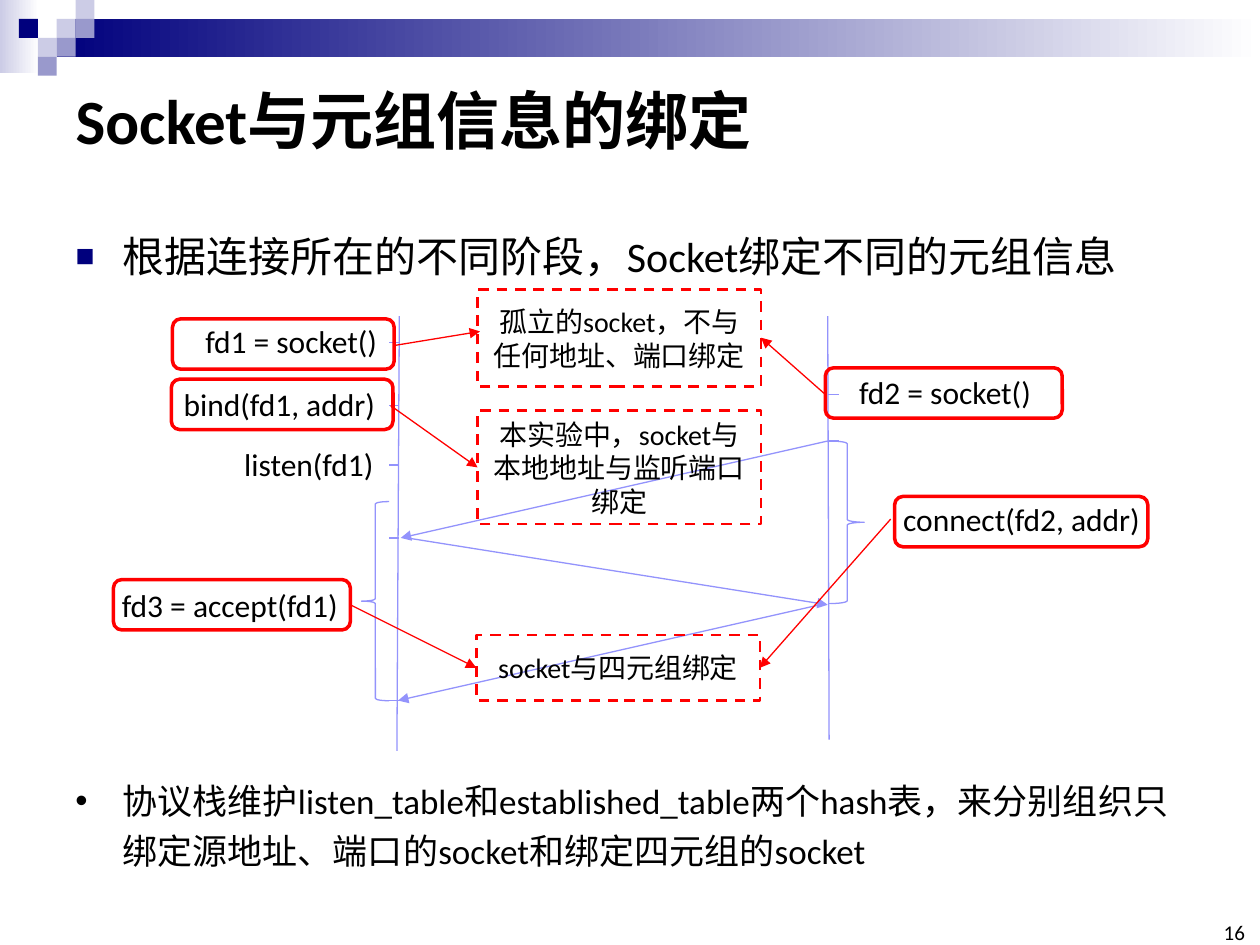
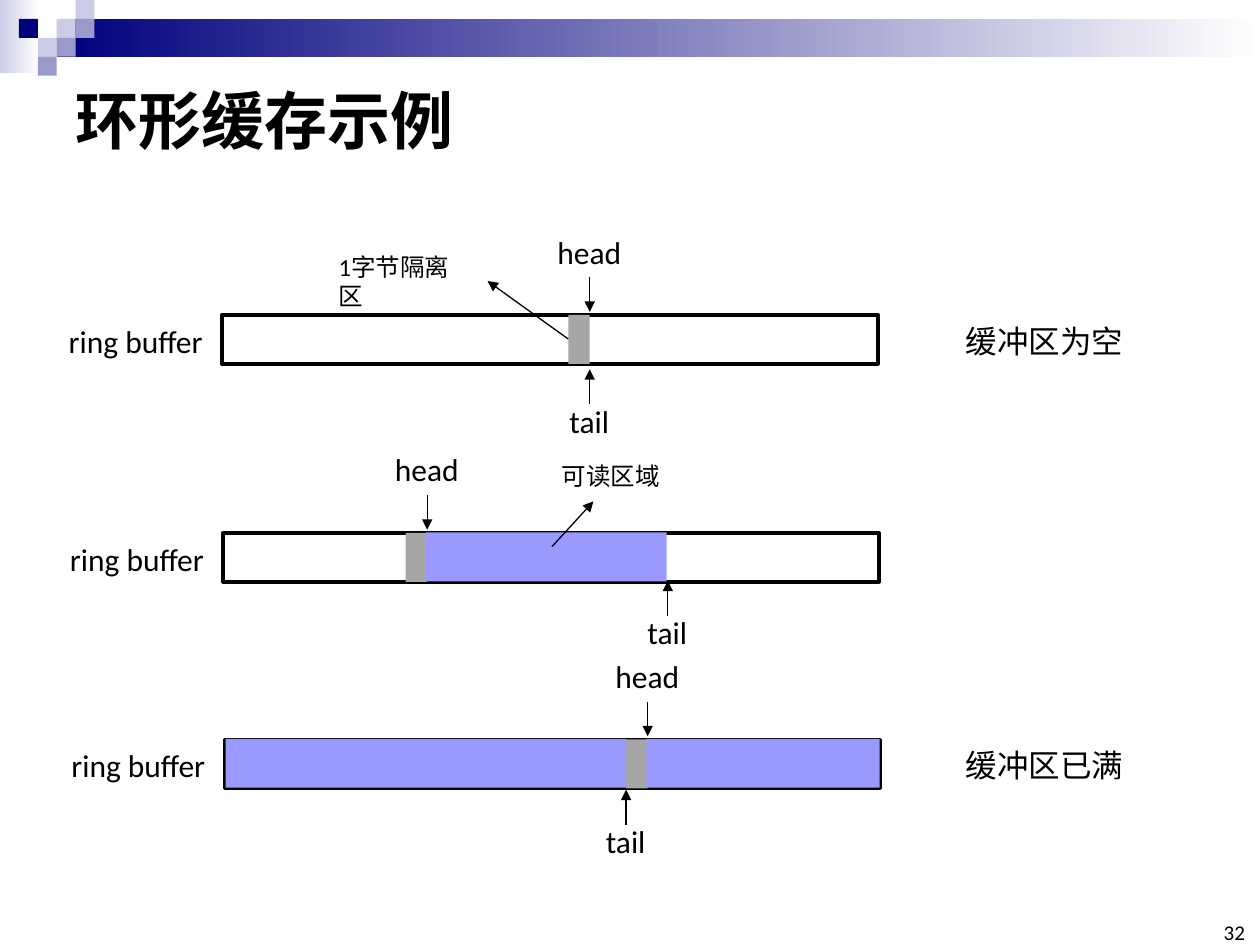
from lxml.etree import SubElement
from pptx import Presentation
from pptx.dml.color import RGBColor
from pptx.enum.dml import MSO_LINE
from pptx.enum.shapes import MSO_CONNECTOR, MSO_SHAPE
from pptx.enum.text import MSO_ANCHOR, MSO_AUTO_SIZE, PP_ALIGN
from pptx.oxml.ns import qn
from pptx.util import Pt

COLORS = {
    "black": "000000", "white": "FFFFFF", "navy": "00007D", "pale": "CCCCE6",
    "mid": "9999CC", "timeline": "9393FC", "red": "FF0000",
    "gap": "A6A6A6", "readable": "9999FF",
}
FONT = "Calibri"
LINE_HEIGHT = 28.8
BAR_WIDTH, BAR_HEIGHT, GAP_WIDTH = 375, 28, 12.24


def color(name):
    return RGBColor.from_string(COLORS[name])


def place(shape, left, top, width, height):
    shape.left, shape.top = Pt(left), Pt(top)
    shape.width, shape.height = Pt(width), Pt(height)


def write(frame, text, size, bold=False, align=PP_ALIGN.LEFT):
    para = frame.paragraphs[0]
    para.alignment = align
    span = para.add_run()
    span.text = text
    span.font.name = FONT
    span.font.size = Pt(size)
    span.font.bold = bold
    span.font.color.rgb = color("black")
    return para


def add_label(page, text, left, top, width, height=LINE_HEIGHT, size=18, wrap=False):
    box = page.shapes.add_textbox(Pt(left), Pt(top), Pt(width), Pt(height))
    box.text_frame.word_wrap = wrap
    box.text_frame.auto_size = MSO_AUTO_SIZE.SHAPE_TO_FIT_TEXT
    return write(box.text_frame, text, size)


def add_box(page, left, top, width, height, kind=MSO_SHAPE.RECTANGLE,
            fill=None, line=None, weight=0.75):
    box = page.shapes.add_shape(kind, Pt(left), Pt(top), Pt(width), Pt(height))
    box.shadow.inherit = False
    if fill:
        box.fill.solid()
        box.fill.fore_color.rgb = color(fill)
    else:
        box.fill.background()
    if line:
        box.line.color.rgb = color(line)
        box.line.width = Pt(weight)
    else:
        box.line.fill.background()
    return box


def add_line(page, start, end, line, arrow=False):
    link = page.shapes.add_connector(
        MSO_CONNECTOR.STRAIGHT, *(Pt(value) for value in (*start, *end)))
    link.line.color.rgb = color(line)
    link.line.width = Pt(0.75)
    if arrow:
        SubElement(link.line._get_or_add_ln(), qn("a:tailEnd"), type="triangle")
    SubElement(link.element.spPr, qn("a:effectLst"))


def add_bullet(para, mark, spacing, mark_color=None, percent=None):
    para.line_spacing = spacing
    para.space_before = Pt(0)
    props = para._p.get_or_add_pPr()
    props.set("marL", str(Pt(27)))
    props.set("indent", str(-Pt(27)))
    if mark_color:
        SubElement(SubElement(props, qn("a:buClr")), qn("a:srgbClr"), val=COLORS[mark_color])
    if percent:
        SubElement(props, qn("a:buSzPct"), val=str(percent * 1000))
    SubElement(props, qn("a:buFont"), typeface="Arial")
    SubElement(props, qn("a:buChar"), char=mark)


def add_master_bands(deck, page):
    bands = []
    for box, start in (((0, 0, 22.3, 41.8), "pale"), ((32.4, 10.8, 687.6, 21.6), "navy")):
        band = add_box(page, *box)
        band.fill.gradient()
        band.fill.gradient_angle = 0
        for stop, name in zip(band.fill.gradient_stops, (start, "white")):
            stop.color.rgb = color(name)
        bands.append(band)
    cell = 10.8
    squares = ((3, 1, "pale"), (4, 0, "pale"), (4, 1, "mid"), (2, 2, "pale"),
               (1, 1, "navy"), (3, 2, "mid"), (2, 3, "mid"))
    for column, row, fill in squares:
        bands.append(add_box(page, column * cell, row * cell, cell, cell, fill=fill))
    tree = deck.slide_master.element.cSld.spTree
    for order, band in enumerate(bands):
        band.element.nvSpPr.cNvPr.set("id", str(101 + order))
        tree.insert(2 + order, band.element)


def add_page(deck, layout, title, number):
    page = deck.slides.add_slide(deck.slide_layouts[layout])
    heading = page.shapes.title
    place(heading, 36, 36, 648, 64)
    heading.text_frame.vertical_anchor = MSO_ANCHOR.MIDDLE
    heading.text_frame.auto_size = MSO_AUTO_SIZE.NONE
    write(heading.text_frame, title, 36, bold=True)
    box = page.shapes.add_textbox(Pt(694.8), Pt(527.8), Pt(16.6), Pt(12.2))
    frame = box.text_frame
    frame.margin_left = frame.margin_right = frame.margin_top = frame.margin_bottom = 0
    frame.vertical_anchor = MSO_ANCHOR.BOTTOM
    write(frame, str(number), 12, align=PP_ALIGN.RIGHT)
    return page


def add_timelines(page, left, top):
    def line(x1, y1, x2, y2, arrow=False):
        add_line(page, (left + x1, top + y1), (left + x2, top + y2), "timeline", arrow)

    line(166.2, 15.7, 164.8, 264.1)
    line(411, 15.7, 411.8, 257.6)
    for y in (30.8, 66.8, 100.7, 142.4, 235.3):
        line(160.5, y, 166.2, y)
    for y in (60.4, 87, 179.9):
        line(411, y, 417.5, y)
    line(411, 87, 167, 142.4, True)
    line(170.6, 142.4, 411, 180.6, True)
    line(409.6, 179.9, 165.5, 235.3, True)
    add_box(page, left + 144.6, top + 121.6, 15.8, 113.8, MSO_SHAPE.LEFT_BRACE, line="timeline")
    add_box(page, left + 412.5, top + 87, 19.4, 92.9, MSO_SHAPE.RIGHT_BRACE, line="timeline")


def add_calls(page, left, top):
    calls = (
        ("fd1 = socket()", 48.2, 15.7, 113.8, (36.6, 17.2, 126.7)),
        ("bind(fd1, addr)", 35.9, 51.7, 125.3, (35.9, 51.7, 126.7)),
        ("listen(fd1)", 70.5, 85.6, 89.3, None),
        ("fd3 = accept(fd1)", 0.6, 166.2, 139.7, (2.8, 166.2, 135.4)),
        ("fd2 = socket()", 421.8, 44.5, 113.8, (409.6, 45.2, 135.4)),
        ("connect(fd2, addr)", 447, 117.2, 151.9, (449.2, 118.7, 144.7)),
    )
    for text, x, y, width, frame in calls:
        add_label(page, text, left + x, top + y, width)
        if frame:
            add_box(page, left + frame[0], top + frame[1], frame[2], LINE_HEIGHT,
                    MSO_SHAPE.ROUNDED_RECTANGLE, line="red", weight=2)


def add_notes_on_binding(page, left, top):
    notes = (
        ("孤立的socket，不与任何地址、端口绑定", 210.9, 0.6, 55.4),
        ("本实验中，socket与本地地址与监听端口绑定", 210.9, 69.7, 64.8),
        ("socket与四元组绑定", 210.2, 197.9, 37.4),
    )
    for text, x, y, height in notes:
        note = add_box(page, left + x, top + y, 162, height, line="red", weight=1.5)
        note.line.dash_style = MSO_LINE.DASH
        note.text_frame.word_wrap = True
        note.text_frame.vertical_anchor = MSO_ANCHOR.MIDDLE
        write(note.text_frame, text, 16, align=PP_ALIGN.CENTER)
    arrows = ((164.1, 32.3, 212.3, 24.4), (409.6, 60.4, 372.9, 28),
              (161.2, 66.8, 210.9, 102.1), (138.2, 180.6, 210.2, 216.6),
              (447, 131.6, 372.2, 216.6))
    for x1, y1, x2, y2 in arrows:
        add_line(page, (left + x1, top + y1), (left + x2, top + y2), "red", True)


def add_pointer(page, text, x, start, end, label_top, width):
    add_line(page, (x, start), (x, end), "black", True)
    add_label(page, text, x - width / 2, label_top, width)


def add_ring_buffer(page, left, top, head, tail, tail_offset, readable=(), state=None):
    add_box(page, left, top, BAR_WIDTH, BAR_HEIGHT, line="black", weight=2)
    add_label(page, "ring buffer", left - 94.5, top + 0.4, 91.4)
    tail_start = top + tail_offset + 20
    add_pointer(page, "tail", left + tail, tail_start, top + tail_offset,
                tail_start - 5, 37.4)
    add_pointer(page, "head", left + head, top - 21.6, top - 1.8, top - 50.6, 51.1)
    add_box(page, left + head - GAP_WIDTH, top, GAP_WIDTH, BAR_HEIGHT, fill="gap")
    for start, end in readable:
        add_box(page, left + start, top - 0.3, end - start, BAR_HEIGHT, fill="readable")
    if state:
        add_label(page, state, 544.7, top + 0.4, 104.4)


def add_callout(page, left, top, text, start, end, corner, width, wrap=False):
    add_line(page, (left + start[0], top + start[1]), (left + end[0], top + end[1]),
             "black", True)
    add_label(page, text, left + corner[0], top + corner[1], width, 24.5, 14, wrap)


def add_binding_slide(deck):
    page = add_page(deck, 1, "Socket与元组信息的绑定", 16)
    body = page.placeholders[1]
    place(body, 36, 113.8, 648, 43.2)
    body.text_frame.auto_size = MSO_AUTO_SIZE.NONE
    para = write(body.text_frame, "根据连接所在的不同阶段，Socket绑定不同的元组信息", 24)
    add_bullet(para, "■", 1.5, "navy", 75)
    for add_part in (add_timelines, add_calls, add_notes_on_binding):
        add_part(page, 62, 165)
    para = add_label(
        page,
        "协议栈维护listen_table和established_table两个hash表，来分别组织"
        "只绑定源地址、端口的socket和绑定四元组的socket",
        36, 437, 648, 63.4, 20, wrap=True)
    add_bullet(para, "•", 1.2)
    return page


def add_ring_slide(deck):
    page = add_page(deck, 5, "环形缓存示例", 32)
    add_ring_buffer(page, 126.7, 180, 210.3, 210.3, 31, state="缓冲区为空")
    add_callout(page, 126.7, 180, "1字节隔离区", (198, 13.7), (151.9, -19.4),
                (59.8, -39.6), 91.4, wrap=True)
    add_ring_buffer(page, 127.4, 304.5, 116.7, 254.2, 27.4, [(116, 253.5)])
    add_callout(page, 127.4, 304.5, "可读区域", (188, 7.9), (211.7, -18),
                (186.5, -44.6), 70.6)
    add_ring_buffer(page, 128.2, 422.5, 241.9, 229.6, 28.8,
                    [(241.2, 374.4), (0.7, 229.6)], "缓冲区已满")


deck = Presentation()
deck.slide_width, deck.slide_height = Pt(720), Pt(540)
binding_page = add_binding_slide(deck)
add_master_bands(deck, binding_page)
add_ring_slide(deck)
deck.save("out.pptx")
